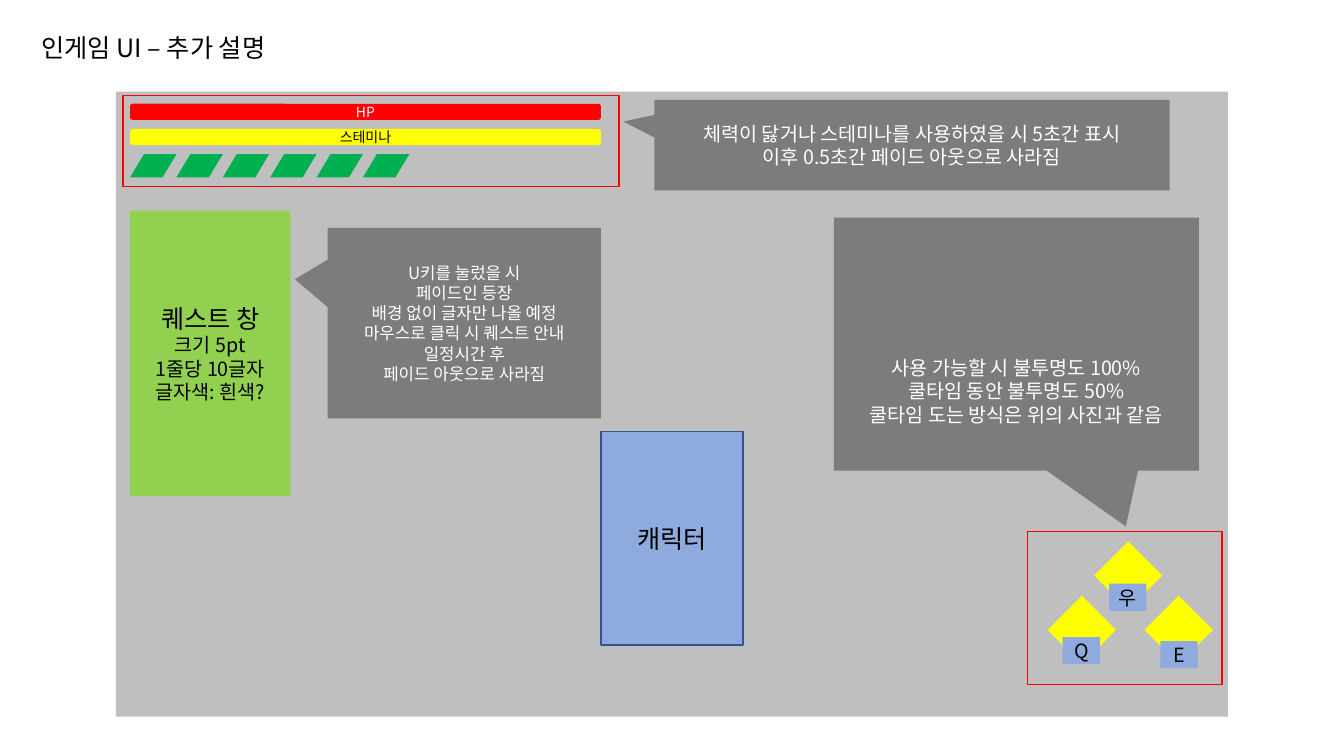
"""Build the slide that explains the in-game UI."""
from dataclasses import dataclass

import lxml.etree
import pptx
import pptx.dml.color
import pptx.enum.shapes
import pptx.enum.text
import pptx.oxml.ns
import pptx.util

SCALE = 9144
KIND = pptx.enum.shapes.MSO_SHAPE


@dataclass(frozen=True)
class Theme:
    font: str = "Noto Sans CJK KR"
    black: str = "000000"
    white: str = "FFFFFF"
    screen: str = "BFBFBF"
    note: str = "7C7C7C"
    blue: str = "8FAADC"
    blue_edge: str = "325491"
    red: str = "FF0000"
    yellow: str = "FFFF00"
    green: str = "00B050"
    quest: str = "92D050"
    heading: int = 18
    body: int = 14
    small: int = 12
    bar: int = 10
    leading: float = 1.2


THEME = Theme()


@dataclass(frozen=True)
class Line:
    text: str
    size: int = THEME.body


@dataclass(frozen=True)
class Box:
    left: int
    top: int
    width: int
    height: int
    fill: str = ""
    edge: str = ""
    kind: int = KIND.RECTANGLE
    adjust: tuple[float, ...] = ()
    turn: int = 0
    lines: tuple[Line, ...] = ()
    color: str = THEME.black
    pad_top: int = 0


def px(count: int) -> int:
    return pptx.util.Emu(count * SCALE)


def rgb(code: str) -> pptx.dml.color.RGBColor:
    return pptx.dml.color.RGBColor.from_string(code)


def write(frame, lines: tuple[Line, ...], color: str, align) -> None:
    for index, line in enumerate(lines):
        para = frame.add_paragraph() if index else frame.paragraphs[0]
        para.alignment = align
        para.line_spacing = pptx.util.Pt(round(line.size * THEME.leading, 1))
        span = para.add_run()
        span.text = line.text
        span.font.size = pptx.util.Pt(line.size)
        span.font.color.rgb = rgb(color)
        span.font.name = THEME.font
        east = lxml.etree.SubElement(span.font._element, pptx.oxml.ns.qn("a:ea"))
        east.set("typeface", THEME.font)


def draw(page, box: Box) -> None:
    shape = page.shapes.add_shape(
        box.kind, px(box.left), px(box.top), px(box.width), px(box.height)
    )
    shape.shadow.inherit = False
    shape.rotation = box.turn
    for index, value in enumerate(box.adjust):
        shape.adjustments[index] = value
    if box.fill:
        shape.fill.solid()
        shape.fill.fore_color.rgb = rgb(box.fill)
    else:
        shape.fill.background()
    if box.edge:
        shape.line.color.rgb = rgb(box.edge)
        shape.line.width = pptx.util.Pt(1)
    else:
        shape.line.fill.background()
    frame = shape.text_frame
    frame.word_wrap = True
    frame.vertical_anchor = pptx.enum.text.MSO_ANCHOR.MIDDLE
    frame.margin_left = frame.margin_right = frame.margin_bottom = 0
    frame.margin_top = px(box.pad_top)
    write(frame, box.lines, box.color, pptx.enum.text.PP_ALIGN.CENTER)


def add_title(page, text: str) -> None:
    title = page.shapes.title
    title.left, title.top, title.width, title.height = px(31), px(27), px(270), px(40)
    frame = title.text_frame
    frame.word_wrap = False
    frame.auto_size = pptx.enum.text.MSO_AUTO_SIZE.SHAPE_TO_FIT_TEXT
    frame.vertical_anchor = pptx.enum.text.MSO_ANCHOR.TOP
    lines = (Line(text, THEME.heading),)
    write(frame, lines, THEME.black, pptx.enum.text.PP_ALIGN.LEFT)


def bar(top: int, fill: str, text: str, color: str) -> Box:
    return Box(129, top, 467, 16, fill, kind=KIND.ROUNDED_RECTANGLE,
               lines=(Line(text, THEME.bar),), color=color)


def diamond(left: int, top: int) -> Box:
    return Box(left, top, 48, 48, THEME.yellow, turn=45)


def key(left: int, top: int, text: str) -> Box:
    return Box(left, top, 37, 27, THEME.blue, lines=(Line(text),))


def gauge(index: int) -> Box:
    return Box(round(129 + 46.2 * index), 153, 46, 23, THEME.green,
               kind=KIND.PARALLELOGRAM, adjust=(0.6,))


def outline(left: int, top: int, width: int, height: int) -> Box:
    return Box(left, top, width, height, edge=THEME.red)


def callout(place: tuple[int, int, int, int], tip: tuple[float, float],
            texts: tuple[str, ...], size: int = THEME.body, pad_top: int = 0) -> Box:
    return Box(*place, THEME.note, kind=KIND.RECTANGULAR_CALLOUT, adjust=tip,
               lines=tuple(Line(text, size) for text in texts),
               color=THEME.white, pad_top=pad_top)


BOXES = (
    Box(115, 91, 1103, 620, THEME.screen),
    Box(596, 428, 141, 212, THEME.blue, THEME.blue_edge,
        lines=(Line("캐릭터", THEME.heading),)),
    bar(103, THEME.red, "HP", THEME.white),
    bar(128, THEME.yellow, "스테미나", THEME.black),
    diamond(1095, 547),
    diamond(1049, 601),
    diamond(1145, 601),
    key(1100, 579, "우"),
    key(1054, 632, "Q"),
    key(1151, 636, "E"),
    *(gauge(index) for index in range(6)),
    outline(122, 95, 492, 90),
    callout((649, 99, 511, 90), (-0.56, -0.26),
            ("체력이 닳거나 스테미나를 사용하였을 시 5초간 표시",
             "이후 0.5초간 페이드 아웃으로 사라짐")),
    outline(1019, 527, 193, 152),
    callout((827, 216, 362, 251), (0.3, 0.72),
            ("사용 가능할 시 불투명도 100%", "쿨타임 동안 불투명도 50%",
             "쿨타임 도는 방식은 위의 사진과 같음"), pad_top=93),
    Box(129, 209, 159, 283, THEME.quest,
        lines=(Line("퀘스트 창", THEME.heading), Line("크기 5pt"),
               Line("1줄당 10글자"), Line("글자색: 흰색?"))),
    callout((325, 226, 271, 189), (-0.62, -0.23),
            ("U키를 눌렀을 시", "페이드인 등장", "배경 없이 글자만 나올 예정",
             "마우스로 클릭 시 퀘스트 안내", "일정시간 후", "페이드 아웃으로 사라짐"),
            THEME.small),
)


def main() -> None:
    deck = pptx.Presentation()
    deck.slide_width, deck.slide_height = px(1333), px(750)
    page = deck.slides.add_slide(deck.slide_layouts[5])
    add_title(page, "인게임 UI – 추가 설명")
    for box in BOXES:
        draw(page, box)
    deck.save("out.pptx")


if __name__ == "__main__":
    main()
